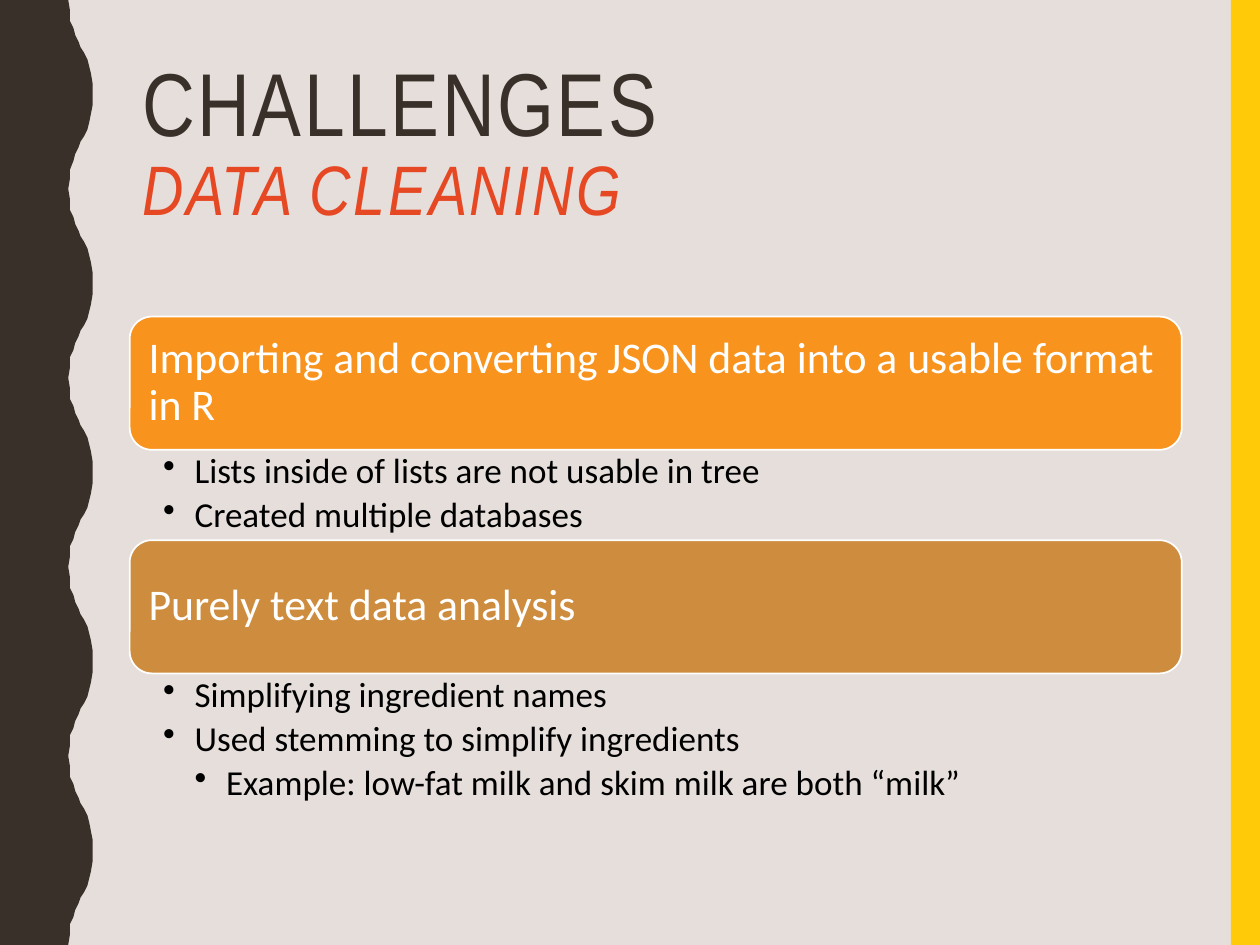
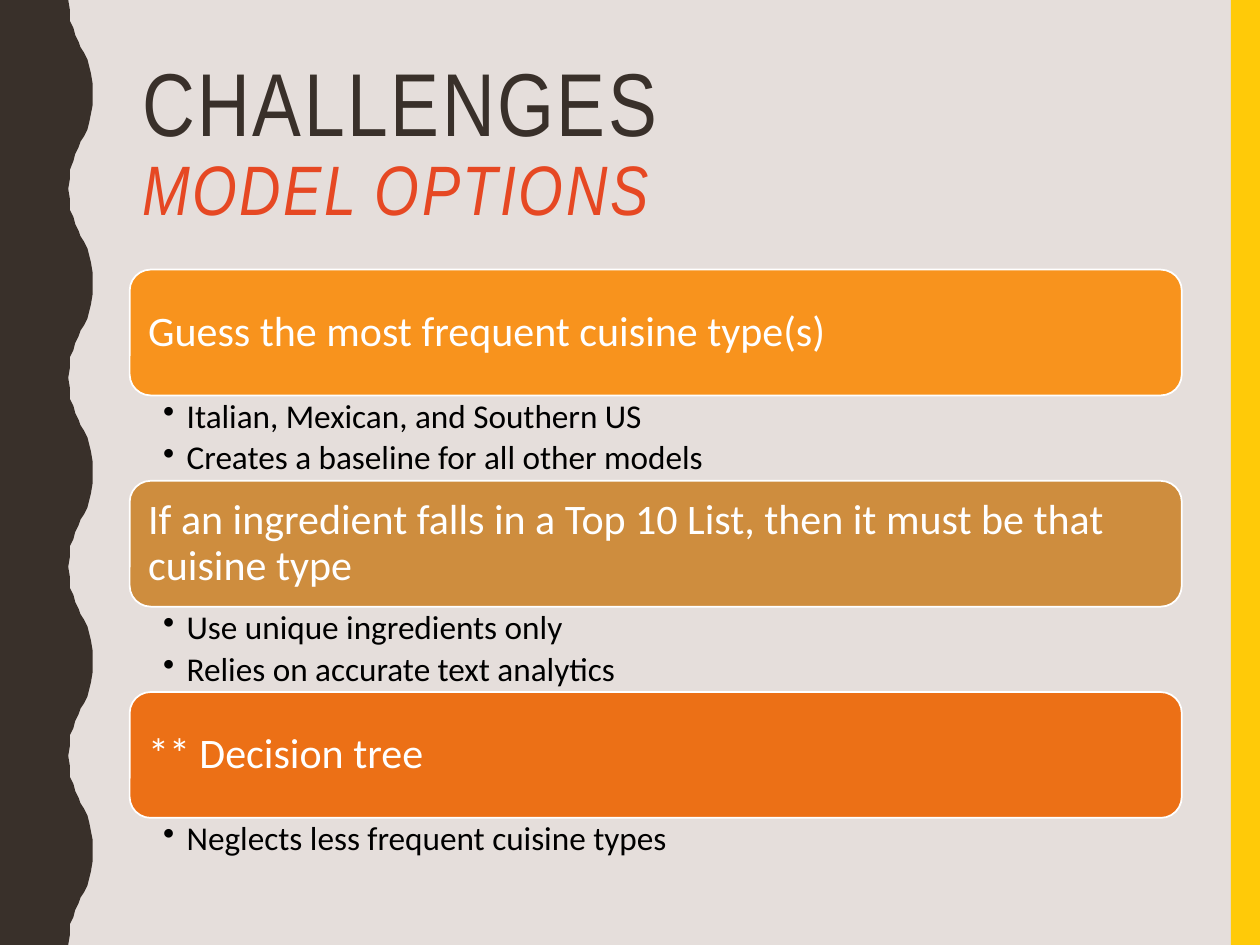
from pptx import Presentation
from pptx import util as u
from pptx.dml import color as col
from pptx.enum import shapes as sh, text as tx
from pptx.oxml import ns
from lxml import etree

Pt = u.Pt
WIDTH, HEIGHT = 720, 540
LEFT, SPAN = 74.1, 601.2

HUES = {
    "back": "E5DEDB", "dark": "39302A", "edge": "FFCA08", "sub": "E64823",
    "white": "FFFFFF", "black": "000000",
    "bar1": "F8931D", "bar2": "CE8D3E", "bar3": "EC7016",
}
HEAD, BODY = "Arial Narrow", "Calibri"


def hue(name):
    return col.RGBColor.from_string(HUES[name])


def frame(shape, anchor, sides):
    """Set wrap, anchor and the left, top, right, bottom insets."""
    tf = shape.text_frame
    form = {"word_wrap": True, "auto_size": tx.MSO_AUTO_SIZE.NONE,
            "vertical_anchor": anchor}
    for side, size in zip(("left", "top", "right", "bottom"), sides):
        form["margin_" + side] = Pt(size)
    for key, val in form.items():
        setattr(tf, key, val)
    return tf


class Deck:
    def __init__(self):
        self.prs = Presentation()
        self.prs.slide_width, self.prs.slide_height = Pt(WIDTH), Pt(HEIGHT)
        self.paint(self.prs.slide_master.background, "back")
        self.slide = None

    def paint(self, item, name):
        item.fill.solid()
        item.fill.fore_color.rgb = hue(name)

    def plain(self, shape, name):
        shape.shadow.inherit = False
        self.paint(shape, name)
        shape.line.fill.background()

    def run(self, par, words, size, name, font=BODY, **more):
        run = par.add_run()
        run.text = words
        form = {"size": Pt(size), "name": font, **more}
        for key, val in form.items():
            setattr(run.font, key, val)
        run.font.color.rgb = hue(name)
        return run

    def start(self, head, sub):
        self.slide = self.prs.slides.add_slide(self.prs.slide_layouts[5])
        self.edge()
        self.wave()
        self.title(head, sub)

    def edge(self):
        band = self.slide.shapes.add_shape(
            sh.MSO_SHAPE.RECTANGLE, Pt(703.4), 0, Pt(16.6), Pt(HEIGHT))
        self.plain(band, "edge")

    def wave(self, low=39.4, high=53.4, halves=10, steps=12):
        """Dark side band whose right side swings between low and high."""
        rise = HEIGHT / halves
        pts = []
        for half in range(halves):
            a, b = (low, high) if half % 2 == 0 else (high, low)
            for i in range(1, steps + 1):
                t = i / steps
                x = a + (b - a) * (3 * t**2 - 2 * t**3)
                y = rise * (half + 1.5 * t - 1.5 * t**2 + t**3)
                pts.append((x, y))
        path = self.slide.shapes.build_freeform(low, 0, scale=Pt(1))
        path.add_line_segments(pts + [(0, HEIGHT), (0, 0)], close=True)
        self.plain(path.convert_to_shape(), "dark")

    def title(self, head, sub):
        box = self.slide.shapes.title
        box.left, box.top, box.width, box.height = map(
            Pt, (LEFT, 30.2, SPAN, 117.4))
        par = frame(box, tx.MSO_ANCHOR.TOP, (7.2, 3.6, 7.2, 3.6)).paragraphs[0]
        par.alignment, par.line_spacing = tx.PP_ALIGN.LEFT, 0.9
        top = self.run(par, head, 51, "dark", HEAD)
        par.add_line_break()
        low = self.run(par, sub, 40, "sub", HEAD, italic=True)
        for run in (top, low):
            run.font._element.set("spc", "150")

    def bar(self, words, name, top, high, size):
        box = self.slide.shapes.add_shape(
            sh.MSO_SHAPE.ROUNDED_RECTANGLE,
            *map(Pt, (LEFT, top, SPAN, high)))
        self.plain(box, name)
        box.line.color.rgb, box.line.width = hue("white"), Pt(1)
        par = frame(box, tx.MSO_ANCHOR.MIDDLE, (7.2,) * 4).paragraphs[0]
        par.alignment, par.line_spacing = tx.PP_ALIGN.LEFT, 0.9
        self.run(par, words, size, "white")

    def notes(self, rows, top, high, size, step):
        """Bullet list; each row is (level, words)."""
        box = self.slide.shapes.add_textbox(
            *map(Pt, (LEFT, top, SPAN, high)))
        tf = frame(box, tx.MSO_ANCHOR.TOP, (19.1, 2.3, 13.7, 2.3))
        for i, (level, words) in enumerate(rows):
            par = tf.paragraphs[0] if i == 0 else tf.add_paragraph()
            form = {"level": level, "line_spacing": 0.9,
                    "space_after": Pt(round(size * 0.175, 1))}
            for key, val in form.items():
                setattr(par, key, val)
            props = par._p.get_or_add_pPr()
            props.set("marL", str(Pt(step * level)))
            props.set("indent", str(Pt(-step)))
            etree.SubElement(props, ns.qn("a:buChar")).set("char", "•")
            self.run(par, words, size, "black")

    def stack(self, top, high, sizes, step, parts):
        """Bars with their lists, set one below the other."""
        for i, (words, deep, rows) in enumerate(parts, 1):
            self.bar(words, f"bar{i}", top, high, sizes[0])
            self.notes(rows, top + high, deep, sizes[1], step)
            top += high + deep


def main():
    deck = Deck()

    # Data cleaning
    deck.start("CHALLENGES", "DATA CLEANING")
    deck.stack(180.9, 76.1, (25, 20), 18, [
        ("Importing and converting JSON data into a usable format in R", 51.7,
         [(1, "Lists inside of lists are not usable in tree"),
          (1, "Created multiple databases")]),
        ("Purely text data analysis", 77.6,
         [(1, "Simplifying ingredient names"),
          (1, "Used stemming to simplify ingredients"),
          (2, "Example: low-fat milk and skim milk are both “milk”")]),
    ])

    # Model options
    deck.start("CHALLENGES", "MODEL OPTIONS")
    deck.stack(154.1, 71.9, (24, 19), 13.5, [
        ("Guess the most frequent cuisine type(s)", 48.8,
         [(1, "Italian, Mexican, and Southern US"),
          (1, "Creates a baseline for all other models")]),
        ("If an ingredient falls in a Top 10 List, then it must be that "
         "cuisine type", 48.8,
         [(1, "Use unique ingredients only"),
          (1, "Relies on accurate text analytics")]),
        ("** Decision tree", 31,
         [(1, "Neglects less frequent cuisine types")]),
    ])

    deck.prs.save("out.pptx")


if __name__ == "__main__":
    main()
